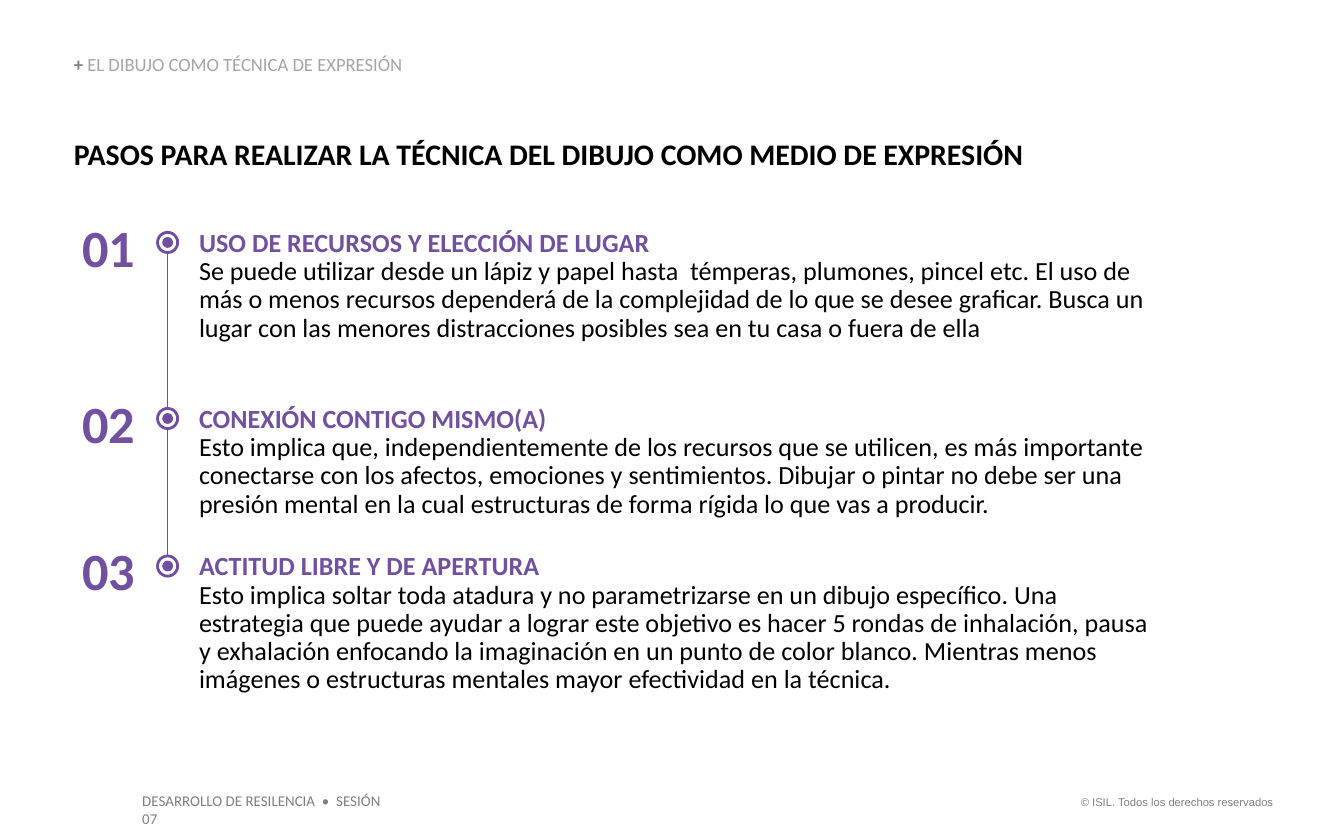
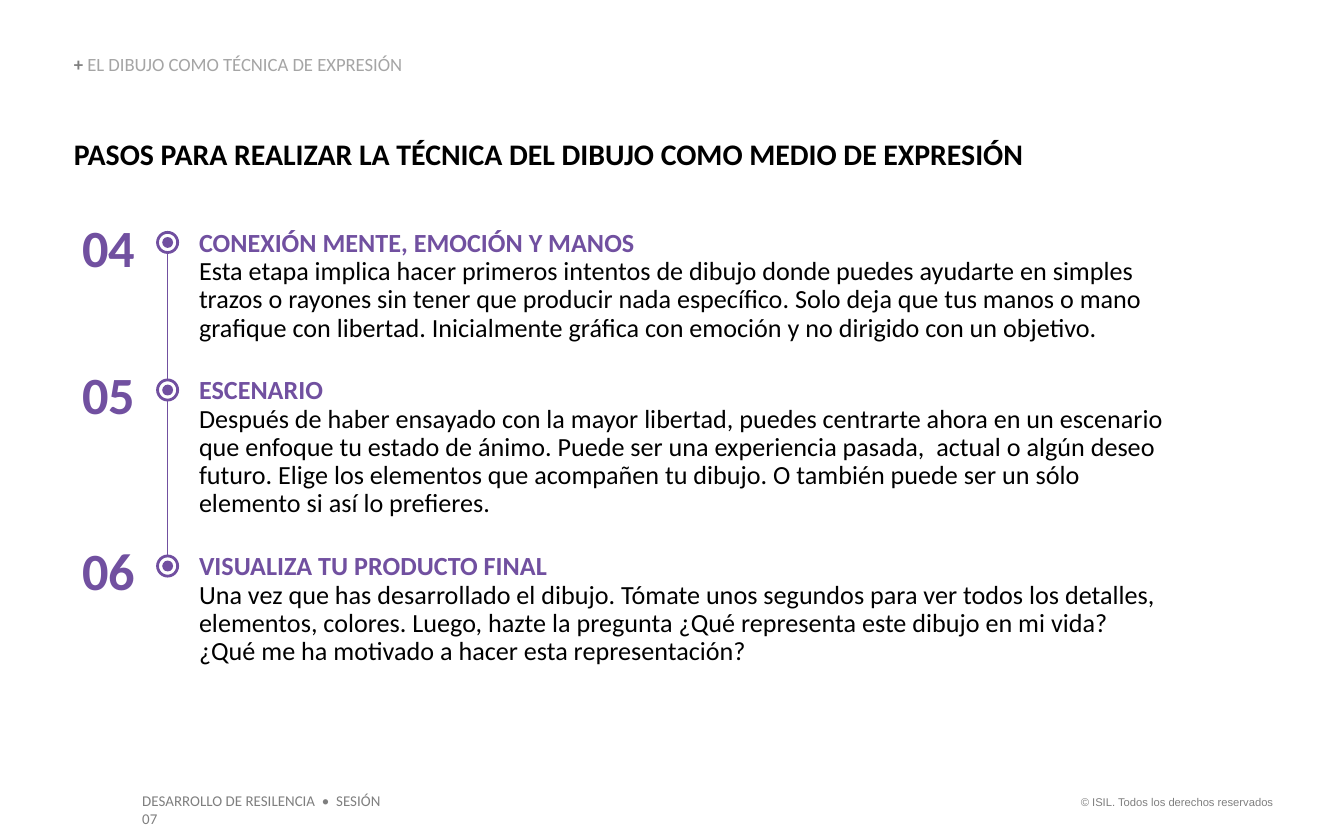
from copy import deepcopy
from itertools import accumulate

from lxml.etree import SubElement
from pptx import Presentation
from pptx.dml.color import RGBColor as Rgb
from pptx.enum.shapes import MSO_CONNECTOR as Line, MSO_SHAPE as Shape
from pptx.enum.text import MSO_ANCHOR as Anchor, MSO_AUTO_SIZE as Fit, PP_ALIGN as Align
from pptx.oxml.ns import qn
from pptx.util import Pt

INK = {
    "black": "000000",
    "white": "FFFFFF",
    "purple": "7150A0",
    "dot": "714FA0",
    "grey": "7F7F7F",
    "pale": "A5A5A5",
}
TITLE = "PASOS PARA REALIZAR LA TÉCNICA DEL DIBUJO COMO MEDIO DE EXPRESIÓN"
TOPIC = "EL DIBUJO COMO TÉCNICA DE EXPRESIÓN"
LEFT = 39.6
TOP = 123.1    # first step
ROW = 15.26    # one line of step text
GAP = 18       # between steps
RAIL = 89.8    # centre of the dots
DROP = 6.8     # from the top of a step to the centre of its dot

# Each step: heading, text, lines of room
FIRST = [
    ("USO DE RECURSOS Y ELECCIÓN DE LUGAR",
     "Se puede utilizar desde un lápiz y papel hasta  témperas, plumones, pincel etc. "
     "El uso de más o menos recursos dependerá de la complejidad de lo que se desee "
     "graficar. Busca un lugar con las menores distracciones posibles sea en tu casa "
     "o fuera de ella", 5),
    ("CONEXIÓN CONTIGO MISMO(A)",
     "Esto implica que, independientemente de los recursos que se utilicen, es más "
     "importante conectarse con los afectos, emociones y sentimientos. Dibujar o pintar "
     "no debe ser una presión mental en la cual estructuras de forma rígida lo que vas "
     "a producir.", 4),
    ("ACTITUD LIBRE Y DE APERTURA",
     "Esto implica soltar toda atadura y no parametrizarse en un dibujo específico. Una "
     "estrategia que puede ayudar a lograr este objetivo es hacer 5 rondas de "
     "inhalación, pausa y exhalación enfocando la imaginación en un punto de color "
     "blanco. Mientras menos imágenes o estructuras mentales mayor efectividad en la "
     "técnica.", 5),
]
SECOND = [
    ("CONEXIÓN MENTE, EMOCIÓN Y MANOS",
     "Esta etapa implica hacer primeros intentos de dibujo donde puedes ayudarte en "
     "simples trazos o rayones sin tener que producir nada específico. Solo deja que "
     "tus manos o mano grafique con libertad. Inicialmente gráfica con emoción y no "
     "dirigido con un objetivo.", 4),
    ("ESCENARIO",
     "Después de haber ensayado con la mayor libertad, puedes centrarte ahora en un "
     "escenario que enfoque tu estado de ánimo. Puede ser una experiencia pasada,  "
     "actual o algún deseo futuro. Elige los elementos que acompañen tu dibujo. O "
     "también puede ser un sólo elemento si así lo prefieres.", 5),
    ("VISUALIZA TU PRODUCTO FINAL",
     "Una vez que has desarrollado el dibujo. Tómate unos segundos para ver todos los "
     "detalles, elementos, colores. Luego, hazte la pregunta ¿Qué representa este "
     "dibujo en mi vida? ¿Qué me ha motivado a hacer esta representación?", 4),
]


def tint(name):
    return Rgb.from_string(INK[name])


def write(para, text, size=14, color="black", bold=False, face="Calibri", stop=False):
    """Add a run; stop ends the line with a break of the same format."""
    run = para.add_run()
    run.text = text
    font = run.font
    font.size, font.bold, font.name = Pt(size), bold, face
    font.color.rgb = tint(color)
    if stop:
        para.add_line_break()
        para._p[-1].append(deepcopy(run._r.get_or_add_rPr()))


def setup(frame, pad=(0, 0), align=Align.LEFT, anchor=Anchor.TOP, space=1.0):
    """Format a text frame and return its first paragraph."""
    frame.word_wrap = True
    frame.auto_size = Fit.SHAPE_TO_FIT_TEXT
    frame.vertical_anchor = anchor
    frame.margin_left = frame.margin_right = Pt(pad[0])
    frame.margin_top = frame.margin_bottom = Pt(pad[1])
    para = frame.paragraphs[0]
    para.alignment, para.line_spacing = align, space
    return para


class Deck:
    def __init__(self):
        self.show = Presentation()
        self.show.slide_width, self.show.slide_height = Pt(720), Pt(450)

    def page(self):
        self.slide = self.show.slides.add_slide(self.show.slide_layouts[5])
        self.shapes = self.slide.shapes
        self.title()
        self.foot()
        para = self.box(LEFT, 29.5, 191.5, 10.8, anchor=Anchor.BOTTOM, space=0.9)
        write(para, "+ ", 10, "grey", True)
        write(para, TOPIC, 10, "pale")

    def title(self):
        head = self.shapes.title
        head.left, head.top, head.width, head.height = map(Pt, (LEFT, 72.7, 567.4, 19.4))
        write(setup(head.text_frame), TITLE, 16, bold=True)

    def foot(self):
        pad = (7.2, 3.6)
        para = self.box(567.4, 422.6, 121.7, 14.4, pad=pad, align=Align.RIGHT)
        write(para, "© ISIL. Todos los derechos reservados", 6, "grey", face="Arial")
        para = self.box(69.1, 420.5, 151.9, 17.3, pad=pad)
        write(para, "DESARROLLO DE RESILENCIA  •  SESIÓN 07", 8, "grey")

    def box(self, x, y, w, h, **form):
        return setup(self.shapes.add_textbox(Pt(x), Pt(y), Pt(w), Pt(h)).text_frame, **form)

    def disc(self, y, size, fill, edge=None):
        """Draw a circle centred on the rail."""
        half = size / 2
        disc = self.shapes.add_shape(
            Shape.OVAL, Pt(RAIL - half), Pt(y - half), Pt(size), Pt(size))
        disc.shadow.inherit = False
        disc.fill.solid()
        disc.fill.fore_color.rgb = tint(fill)
        if edge:
            disc.line.color.rgb = tint(edge)
            disc.line.width = Pt(1.5)
        else:
            disc.line.fill.background()

    def rail(self, start, end):
        line = self.shapes.add_connector(Line.STRAIGHT, Pt(RAIL), Pt(start), Pt(RAIL), Pt(end))
        line.line.color.rgb = tint("purple")
        line.line.width = Pt(0.75)
        SubElement(line._element.spPr, qn("a:effectLst"))

    def step(self, num, top, head, text, rows):
        para = self.box(106.6, top, 517.7, rows * ROW, space=0.9)
        write(para, head, color="purple", bold=True, stop=True)
        write(para, text)
        para = self.box(42.5, top - 7.9, 31.7, 33.8, align=Align.CENTER)
        write(para, f"{num:02}", 28, "purple", True)
        self.disc(top + DROP, 10.8, "white", "dot")
        self.disc(top + DROP, 5.8, "dot")

    def steps(self, items, first):
        self.page()
        tops = list(accumulate((rows * ROW + GAP for *_, rows in items[:-1]), initial=TOP))
        self.rail(tops[0] + DROP, tops[-1] + DROP)
        for num, (top, item) in enumerate(zip(tops, items), first):
            self.step(num, top, *item)


def main():
    deck = Deck()
    deck.steps(FIRST, 1)
    deck.steps(SECOND, 4)
    deck.show.save("out.pptx")


if __name__ == "__main__":
    main()
